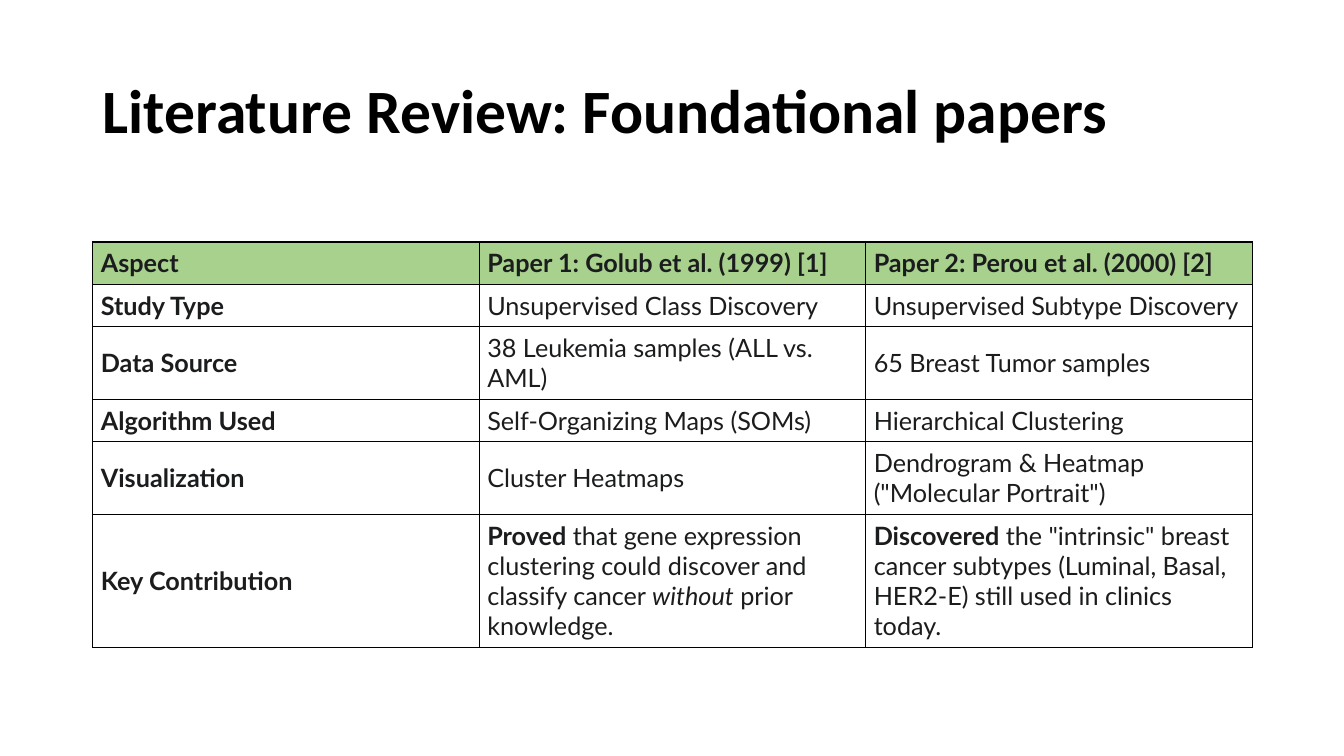
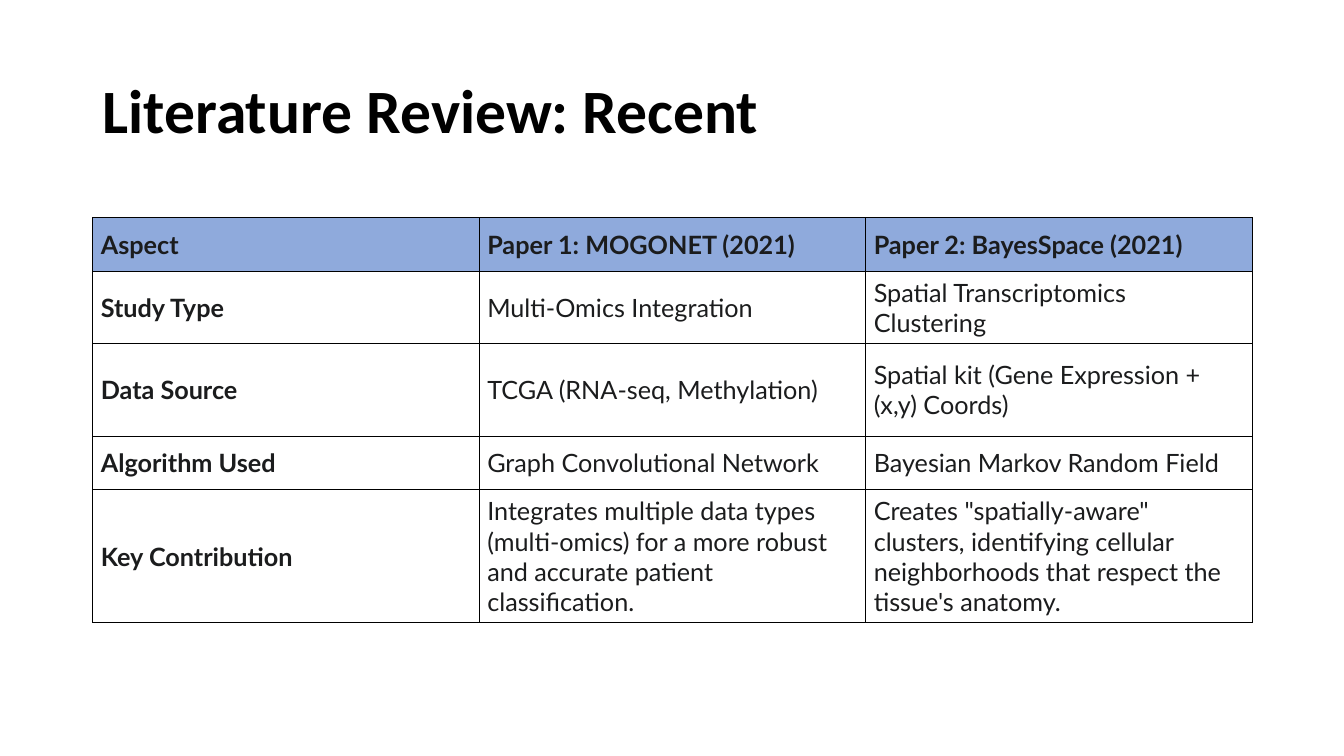
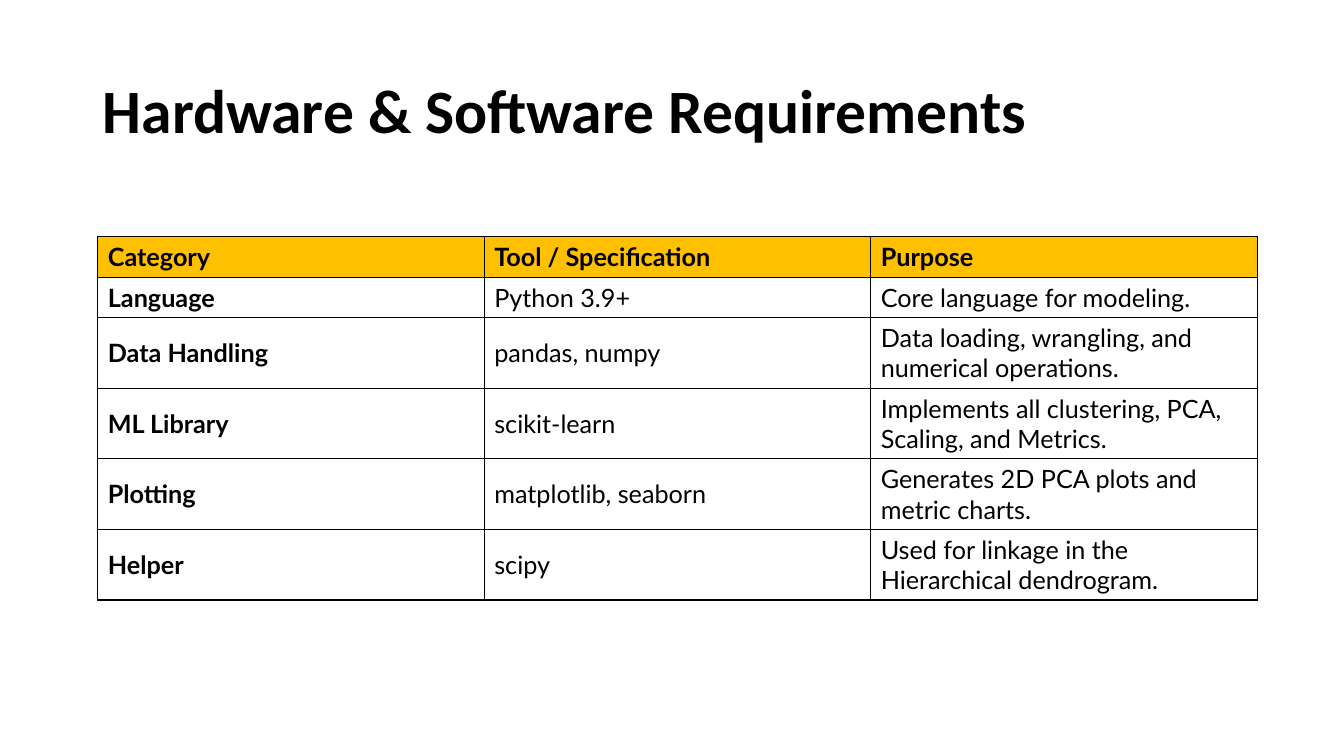
from dataclasses import dataclass

from lxml import etree
from pptx import Presentation
from pptx import util as u
from pptx.dml import color
from pptx.enum import text
from pptx.oxml import ns


@dataclass(frozen=True)
class Theme:
    black: str = "000000"
    ink: str = "1B1C1D"
    green: str = "A9D18E"
    blue: str = "8FAADC"
    amber: str = "FFC000"
    title_font: str = "Calibri"
    table_font: str = "Lato"
    title_size: int = 44
    table_size: int = 18
    border_width: int = 1


class Deck:
    """Builds titled table slides in one style."""

    def __init__(self, theme):
        self.theme = theme
        self.presentation = Presentation()
        self.presentation.slide_width = u.Inches(13.33)
        self.presentation.slide_height = u.Inches(7.5)
        self.slide = None

    def format_font(self, font, name, size, ink):
        font.name = name
        font.size = u.Pt(size)
        font.color.rgb = color.RGBColor.from_string(ink)

    def add_slide(self, title):
        layout = self.presentation.slide_layouts.get_by_name("Title Only")
        self.slide = self.presentation.slides.add_slide(layout)
        shape = self.slide.shapes.title
        shape.left, shape.top = u.Inches(0.92), u.Inches(0.4)
        shape.width, shape.height = u.Inches(11.5), u.Inches(1.45)
        frame = shape.text_frame
        frame.text = title
        frame.auto_size = text.MSO_AUTO_SIZE.NONE
        frame.vertical_anchor = text.MSO_ANCHOR.MIDDLE
        paragraph = frame.paragraphs[0]
        paragraph.alignment = text.PP_ALIGN.LEFT
        paragraph.line_spacing = 0.9
        theme = self.theme
        self.format_font(paragraph.font, theme.title_font, theme.title_size, theme.black)
        paragraph.font.bold = True

    def add_table(self, left, top, heights, rows, header_fill, ink, insets):
        frame = self.slide.shapes.add_table(
            len(rows), len(rows[0]), u.Inches(left), u.Inches(top),
            u.Inches(11.5), u.Inches(sum(heights)))
        table = frame.table
        table.first_row = table.horz_banding = False
        for row, height in zip(table.rows, heights):
            row.height = u.Inches(height)
        for row_index, row in enumerate(rows):
            for column_index, content in enumerate(row):
                cell = table.cell(row_index, column_index)
                self.add_borders(cell)
                if row_index == 0:
                    cell.fill.solid()
                    cell.fill.fore_color.rgb = color.RGBColor.from_string(header_fill)
                else:
                    cell.fill.background()
                bold = row_index == 0 or column_index == 0
                self.fill_cell(cell, content, ink, bold, insets)

    def fill_cell(self, cell, content, ink, bold, insets):
        across, down = insets
        cell.margin_left = cell.margin_right = u.Inches(across)
        cell.margin_top = cell.margin_bottom = u.Inches(down)
        cell.vertical_anchor = text.MSO_ANCHOR.MIDDLE
        paragraph = cell.text_frame.paragraphs[0]
        self.format_font(paragraph.font, self.theme.table_font, self.theme.table_size, ink)
        paragraph.font.bold = bold
        parts = [(content, "")] if isinstance(content, str) else content
        for words, emphasis in parts:
            run = paragraph.add_run()
            run.text = words
            if emphasis == "bold":
                run.font.bold = True
            elif emphasis == "italic":
                run.font.italic = True

    def add_borders(self, cell):
        properties = cell._tc.get_or_add_tcPr()
        for side in ("a:lnL", "a:lnR", "a:lnT", "a:lnB"):
            line = etree.SubElement(properties, ns.qn(side),
                                    w=str(u.Pt(self.theme.border_width)))
            fill = etree.SubElement(line, ns.qn("a:solidFill"))
            etree.SubElement(fill, ns.qn("a:srgbClr"), val=self.theme.black)


FOUNDATIONAL = [
    ("Aspect", "Paper 1: Golub et al. (1999) [1]", "Paper 2: Perou et al. (2000) [2]"),
    ("Study Type", "Unsupervised Class Discovery", "Unsupervised Subtype Discovery"),
    ("Data Source", "38 Leukemia samples (ALL vs. AML)", "65 Breast Tumor samples"),
    ("Algorithm Used", "Self-Organizing Maps (SOMs)", "Hierarchical Clustering"),
    ("Visualization", "Cluster Heatmaps", 'Dendrogram & Heatmap ("Molecular Portrait")'),
    ("Key Contribution",
     [("Proved", "bold"),
      (" that gene expression clustering could discover and classify cancer ", ""),
      ("without", "italic"), (" prior knowledge.", "")],
     [("Discovered", "bold"),
      (' the "intrinsic" breast cancer subtypes (Luminal, Basal, HER2-E) '
       "still used in clinics today.", "")]),
]

RECENT = [
    ("Aspect", "Paper 1: MOGONET (2021)", "Paper 2: BayesSpace (2021)"),
    ("Study Type", "Multi-Omics Integration", "Spatial Transcriptomics Clustering"),
    ("Data Source", "TCGA (RNA-seq, Methylation)",
     "Spatial kit (Gene Expression + (x,y) Coords)"),
    ("Algorithm Used", "Graph Convolutional Network", "Bayesian Markov Random Field"),
    ("Key Contribution",
     "Integrates multiple data types (multi-omics) for a more robust and accurate "
     "patient classification.",
     'Creates "spatially-aware" clusters, identifying cellular neighborhoods that '
     "respect the tissue's anatomy."),
]

REQUIREMENTS = [
    ("Category", "Tool / Specification", "Purpose"),
    ("Language", "Python 3.9+", "Core language for modeling."),
    ("Data Handling", "pandas, numpy", "Data loading, wrangling, and numerical operations."),
    ("ML Library", "scikit-learn", "Implements all clustering, PCA, Scaling, and Metrics."),
    ("Plotting", "matplotlib, seaborn", "Generates 2D PCA plots and metric charts."),
    ("Helper", "scipy", "Used for linkage in the Hierarchical dendrogram."),
]


def main():
    theme = Theme()
    deck = Deck(theme)
    review_insets = (0.08, 0.06)

    deck.add_slide("Literature Review: Foundational papers")
    deck.add_table(0.92, 2.4, [0.41, 0.41, 0.71, 0.41, 0.71, 1.31], FOUNDATIONAL,
                   theme.green, theme.ink, review_insets)

    deck.add_slide("Literature Review: Recent")
    deck.add_table(0.92, 2.16, [0.53, 0.71, 0.92, 0.53, 1.31], RECENT,
                   theme.blue, theme.ink, review_insets)

    deck.add_slide("Hardware & Software Requirements")
    deck.add_table(0.97, 2.35, [0.4] * 2 + [0.7] * 4, REQUIREMENTS,
                   theme.amber, theme.black, (0.1, 0.05))

    deck.presentation.save("out.pptx")


if __name__ == "__main__":
    main()
